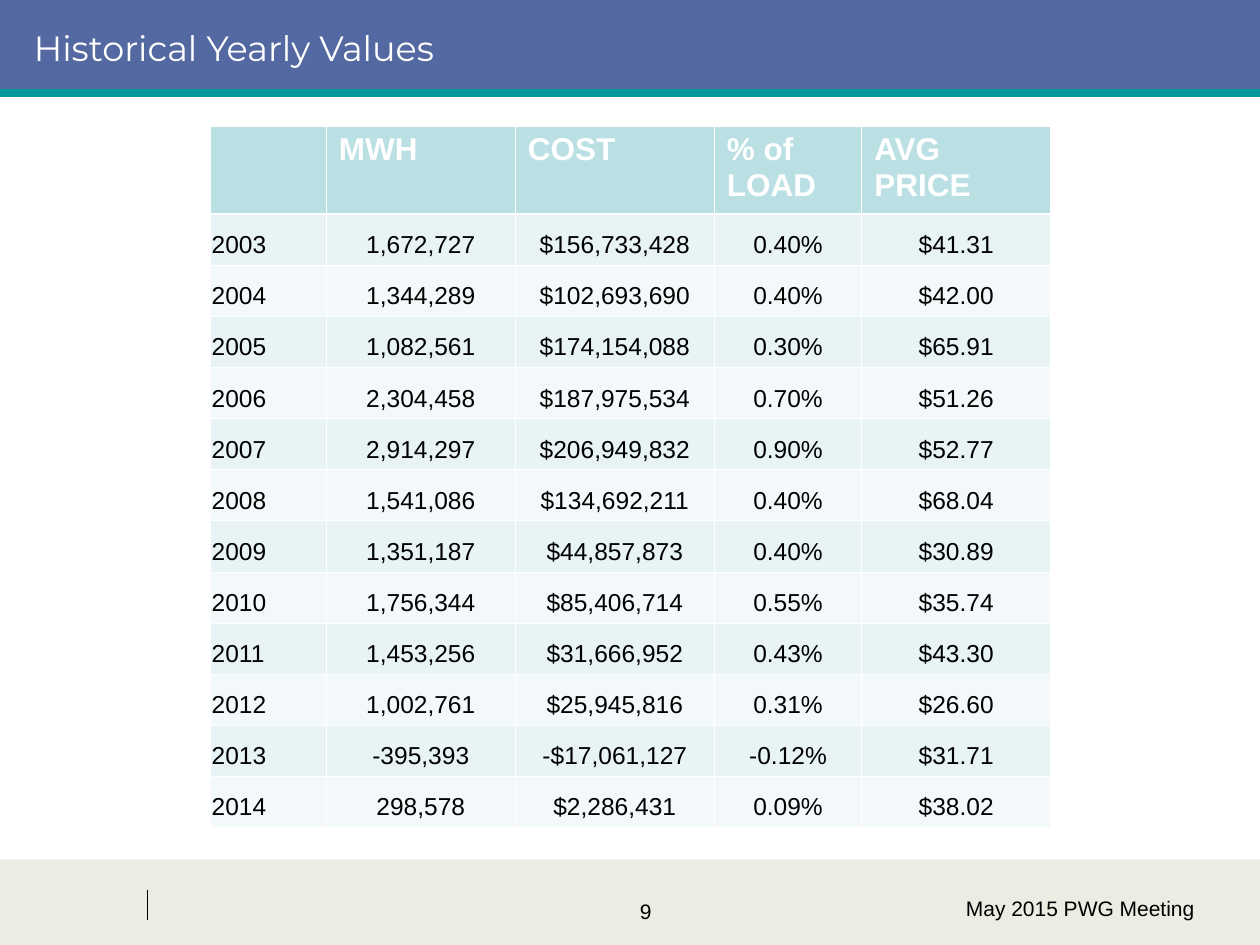
from dataclasses import dataclass

from lxml import etree
from pptx import Presentation
from pptx import util as u
from pptx.dml.color import RGBColor
from pptx.enum import shapes, text
from pptx.oxml import ns


@dataclass(frozen=True)
class Theme:
    title_bar: str = "5469A2"
    accent: str = "009999"
    footer_bar: str = "ECECE2"
    header: str = "BBE0E3"
    bands: tuple = ("E7F3F4", "F3F9FA")
    ink: str = "000000"
    white: str = "FFFFFF"
    body_font: str = "Arial"
    title_font: str = "Montserrat"
    title_size: int = 20
    header_size: int = 18
    body_size: int = 14
    footer_size: int = 12
    rule: float = 0.45
    header_rule: float = 1.47


HEADINGS = ["", "MWH", "COST", "% of LOAD", "AVG PRICE"]
YEARS = [
    ("2003", "1,672,727", "$156,733,428", "0.40%", "$41.31"),
    ("2004", "1,344,289", "$102,693,690", "0.40%", "$42.00"),
    ("2005", "1,082,561", "$174,154,088", "0.30%", "$65.91"),
    ("2006", "2,304,458", "$187,975,534", "0.70%", "$51.26"),
    ("2007", "2,914,297", "$206,949,832", "0.90%", "$52.77"),
    ("2008", "1,541,086", "$134,692,211", "0.40%", "$68.04"),
    ("2009", "1,351,187", "$44,857,873", "0.40%", "$30.89"),
    ("2010", "1,756,344", "$85,406,714", "0.55%", "$35.74"),
    ("2011", "1,453,256", "$31,666,952", "0.43%", "$43.30"),
    ("2012", "1,002,761", "$25,945,816", "0.31%", "$26.60"),
    ("2013", "-395,393", "-$17,061,127", "-0.12%", "$31.71"),
    ("2014", "298,578", "$2,286,431", "0.09%", "$38.02"),
]
COLUMN_WIDTHS = [0.92, 1.5, 1.58, 1.17, 1.5]
TABLE_HEIGHT = 5.57
HEADER_HEIGHT = 0.7


def apply(target, values):
    for name, value in values.items():
        setattr(target, name, value)


class YearlySlide:
    def __init__(self, slide, theme):
        self.slide = slide
        self.theme = theme

    def bar(self, left, top, width, height, color):
        bar = self.slide.shapes.add_shape(
            shapes.MSO_SHAPE.RECTANGLE, *map(u.Inches, (left, top, width, height)))
        bar.shadow.inherit = False
        bar.fill.solid()
        bar.fill.fore_color.rgb = RGBColor.from_string(color)
        bar.line.fill.background()

    def rule(self, start, end, color, weight):
        rule = self.slide.shapes.add_connector(
            shapes.MSO_CONNECTOR.STRAIGHT, *map(u.Inches, start + end))
        rule.line.color.rgb = RGBColor.from_string(color)
        rule.line.width = u.Pt(weight)
        etree.SubElement(rule._element.spPr, ns.qn("a:effectLst"))

    def wording(self, paragraph, words, size, color, font=None, bold=False,
                align="LEFT"):
        paragraph.alignment = getattr(text.PP_ALIGN, align)
        run = paragraph.add_run()
        run.text = words
        apply(run.font, {"name": font or self.theme.body_font,
                         "size": u.Pt(size), "bold": bold})
        run.font.color.rgb = RGBColor.from_string(color)

    def label(self, left, top, width, height, words, size, color,
              anchor="TOP", **style):
        frame = self.slide.shapes.add_textbox(
            *map(u.Inches, (left, top, width, height))).text_frame
        apply(frame, {"word_wrap": True,
                      "vertical_anchor": getattr(text.MSO_ANCHOR, anchor)})
        self.wording(frame.paragraphs[0], words, size, color, **style)

    def borders(self, cell, weights):
        properties = cell._tc.get_or_add_tcPr()
        for side, weight in weights.items():
            edge = etree.SubElement(properties, ns.qn(f"a:ln{side}"),
                                    w=str(u.Pt(weight)))
            fill = etree.SubElement(edge, ns.qn("a:solidFill"))
            etree.SubElement(fill, ns.qn("a:srgbClr"), val=self.theme.white)

    def cell(self, cell, words, row, column):
        theme = self.theme
        heading = row == 0
        side = u.Inches(0.1 if heading else 0.01)
        anchor = text.MSO_ANCHOR.TOP if heading else text.MSO_ANCHOR.BOTTOM
        apply(cell, {"margin_left": side, "margin_right": side,
                     "margin_top": u.Inches(0.05), "margin_bottom": u.Inches(0.05),
                     "vertical_anchor": anchor})
        self.borders(cell, {"L": theme.rule, "R": theme.rule,
                            "T": theme.header_rule if row == 1 else theme.rule,
                            "B": theme.header_rule if heading else theme.rule})
        cell.fill.solid()
        color = theme.header if heading else theme.bands[(row - 1) % 2]
        cell.fill.fore_color.rgb = RGBColor.from_string(color)
        paragraph = cell.text_frame.paragraphs[0]
        if heading and words:
            self.wording(paragraph, words, theme.header_size, theme.white, bold=True)
        elif words:
            self.wording(paragraph, words, theme.body_size, theme.ink,
                         align="CENTER" if column else "LEFT")

    def table(self, left, top, widths, height, header_height, records):
        table = self.slide.shapes.add_table(
            len(records), len(widths),
            *map(u.Inches, (left, top, sum(widths), height))).table
        for column, width in zip(table.columns, widths):
            column.width = u.Inches(width)
        year_height = (height - header_height) / (len(records) - 1)
        for r, record in enumerate(records):
            table.rows[r].height = u.Inches(year_height if r else header_height)
            for c, words in enumerate(record):
                self.cell(table.cell(r, c), words, r, c)


def main():
    deck = Presentation()
    apply(deck, {"slide_width": u.Inches(10), "slide_height": u.Inches(7.5)})
    theme = Theme()
    page = YearlySlide(deck.slides.add_slide(deck.slide_layouts[6]), theme)

    page.bar(0, 6.82, 10, 0.68, theme.footer_bar)
    page.bar(0, 0, 10, 0.75, theme.title_bar)
    page.rule((1.17, 7.06), (1.17, 7.3), theme.ink, 0.75)
    page.rule((0, 0.74), (10, 0.74), theme.accent, 4.5)
    page.label(3.75, 7.08, 2.75, 0.5, "9", theme.footer_size, theme.ink,
               align="CENTER")
    page.label(0.17, 0, 9.5, 0.75, "Historical Yearly Values", theme.title_size,
               theme.white, anchor="MIDDLE", font=theme.title_font)
    page.label(6.83, 7.06, 2.75, 0.5, "May 2015 PWG Meeting", theme.footer_size,
               theme.ink, align="RIGHT")
    page.table(1.67, 1, COLUMN_WIDTHS, TABLE_HEIGHT, HEADER_HEIGHT,
               [HEADINGS, *YEARS])
    deck.save("out.pptx")


if __name__ == "__main__":
    main()
